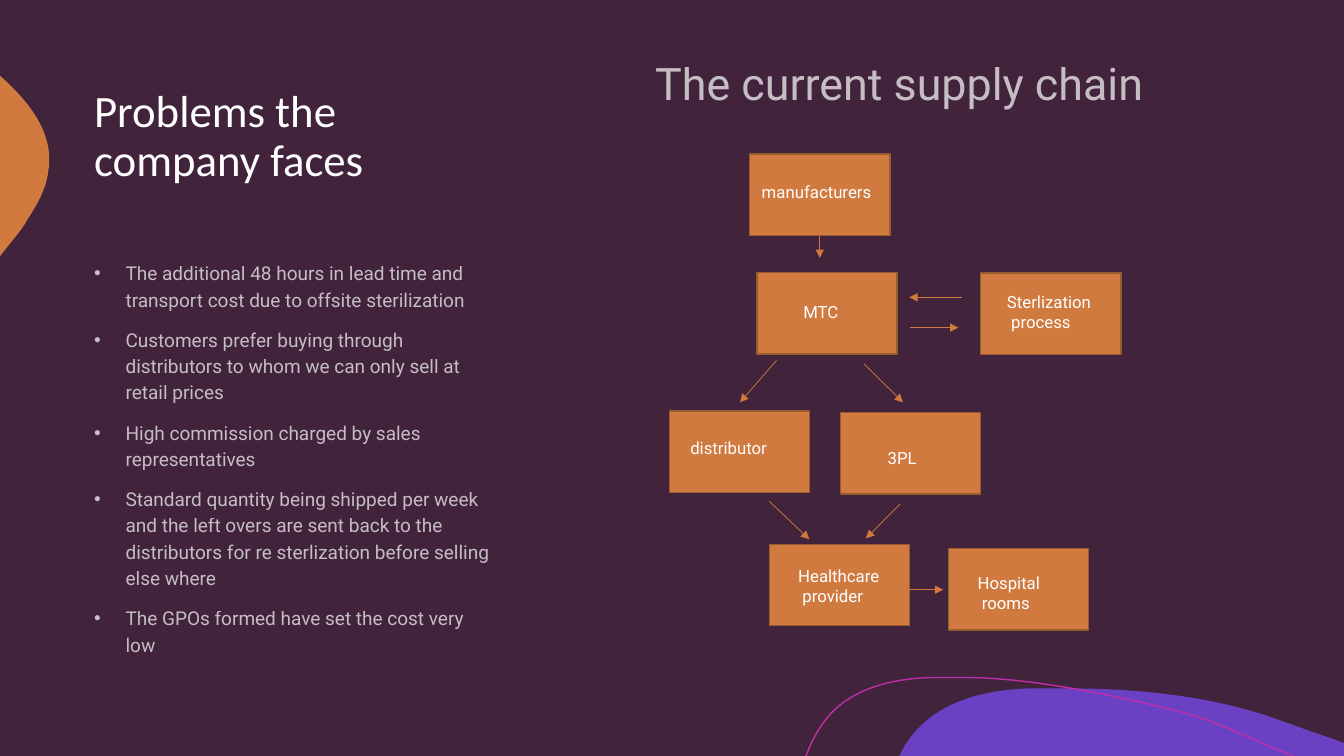
"""Build the supply chain slide on a grid of 32 by 18 square cells."""
from pptx import Presentation
from pptx.dml.color import RGBColor
from pptx.enum.shapes import MSO_CONNECTOR, MSO_SHAPE
from pptx.enum.text import MSO_ANCHOR, MSO_AUTO_SIZE, PP_ALIGN
from pptx.oxml.ns import qn
from pptx.util import Emu, Pt
from lxml import etree

STRAIGHT = MSO_CONNECTOR.STRAIGHT
RECT = MSO_SHAPE.RECTANGLE
TOP = MSO_ANCHOR.TOP
FIXED = MSO_AUTO_SIZE.NONE
GROW = MSO_AUTO_SIZE.SHAPE_TO_FIT_TEXT
LEFT = PP_ALIGN.LEFT

PLUM = RGBColor(0x41, 0x24, 0x3C)
ORANGE = RGBColor(0xD0, 0x7A, 0x40)
BROWN = RGBColor(0x9A, 0x5A, 0x2F)
PURPLE = RGBColor(0x6B, 0x41, 0xC4)
PINK = RGBColor(0xBE, 0x2E, 0xA8)
WHITE = RGBColor(0xFF, 0xFF, 0xFF)

CELL = 381000
COLS, ROWS = 32, 18
BOX_W, BOX_H = 3.34, 1.94

TITLE_FONT = {"name": "Calibri", "size": Pt(32), "bold": False}
HEADING_FONT = {"name": "Roboto", "size": Pt(32)}
LIST_FONT = {"name": "Roboto", "size": Pt(13.6)}
LABEL_FONT = {"name": "Roboto", "size": Pt(12)}
TITLE_PARA = {"alignment": LEFT, "line_spacing": 0.9, "space_before": Pt(0)}
HEADING_PARA = {"alignment": LEFT, "line_spacing": 1.25, "space_before": Pt(10)}
LIST_PARA = {"alignment": LEFT, "line_spacing": 1.15, "space_before": Pt(10)}

PROBLEMS = [
    "The additional 48 hours in lead time and transport cost due to offsite sterilization",
    "Customers prefer buying through distributors to whom we can only sell at retail prices",
    "High commission charged by sales representatives",
    "Standard quantity being shipped per week and the left overs are sent back to the "
    "distributors for re sterlization before selling else where",
    "The GPOs formed have set the cost very low",
]

STAGES = [
    ((17.85, 3.67), (17.9, 4.2, 3.1), ["manufacturers"]),
    ((18.02, 6.49), (18.89, 7.07, 2.9), ["MTC"]),
    ((23.35, 6.5), (23.74, 6.83, 2.81), ["Sterlization", " process"]),
    ((15.94, 9.79), (16.2, 10.31, 2.98), ["distributor"]),
    ((18.32, 12.96), (18.77, 13.35, 2.98), ["Healthcare", " provider"]),
    ((20.01, 9.82), (20.9, 10.54, 2.98), ["3PL"]),
    ((22.58, 13.06), (23.04, 13.51, 2.52), ["Hospital", " rooms"]),
]

ARROWS = [
    (21.67, 7.8, 22.82, 7.8),
    (18.49, 8.58, 17.62, 9.58),
    (20.57, 8.66, 21.5, 9.58),
    (22.9, 7.08, 21.65, 7.08),
    (20.57, 14.04, 22.46, 14.04),
    (18.31, 11.93, 19.27, 12.84),
    (21.43, 12, 20.62, 12.82),
]

PURPLE_WAVE = [
    [(25.3, 16.39)],
    [(27.07, 16.39), (28.9, 16.56), (30.55, 17.18)],
    [(30.86, 17.28), (31.15, 17.4), (31.46, 17.5)],
    [(32, 17.69)], [(32, 18)], [(21.41, 18)], [(21.55, 17.74)],
    [(21.65, 17.59), (21.74, 17.47), (21.86, 17.35)],
    [(22.54, 16.63), (23.57, 16.42), (24.55, 16.39)],
    [(24.79, 16.39), (25.03, 16.39), (25.3, 16.39)],
]
ORANGE_BULGE = [
    [(0, 1.8)], [(0.02, 1.82)],
    [(0.72, 2.45), (1.3, 3.19), (1.15, 4.08)],
    [(1.1, 4.49), (0.89, 4.87), (0.65, 5.23)],
    [(0.58, 5.38), (0.41, 5.59), (0.19, 5.86)],
    [(0, 6.1)],
]
PINK_LINE = [
    [(19.18, 18)], [(19.2, 17.98)],
    [(19.34, 17.59), (19.54, 17.26), (19.78, 16.99)],
    [(20.4, 16.34), (21.34, 16.15), (22.22, 16.13)],
    [(22.92, 16.13)],
    [(24.53, 16.13), (26.4, 16.54), (27.72, 16.85)],
    [(29.02, 17.16), (29.42, 17.45), (30.79, 18)],
]


def cells(*values):
    """Turn grid cells into slide lengths."""
    return [Emu(round(v * CELL)) for v in values]


def apply(target, formats):
    """Set every attribute in a dict of format values."""
    for name, value in formats.items():
        setattr(target, name, value)


def bend(sp, steps):
    """Turn each step of three points into one Bezier curve."""
    nodes = iter(sp._element.findall(".//" + qn("a:lnTo")))
    for step in steps[1:]:
        group = [next(nodes) for _ in step]
        if len(group) == 3:
            curve = etree.Element(qn("a:cubicBezTo"))
            group[0].addprevious(curve)
            for node in group:
                curve.append(node[0])
                node.getparent().remove(node)


def add_outline(s, steps, fill=None, line=None):
    """Draw a filled closed outline or an open curved line."""
    start, *rest = [cells(*point) for step in steps for point in step]
    builder = s.shapes.build_freeform(*start)
    builder.add_line_segments(rest, close=fill is not None)
    sp = builder.convert_to_shape()
    bend(sp, steps)
    sp.shadow.inherit = False
    if fill is not None:
        sp.fill.solid()
        sp.fill.fore_color.rgb = fill
        sp.line.fill.background()
    else:
        sp.fill.background()
        sp.line.color.rgb = line
        sp.line.width = Pt(1)


def write(tf, lines, font, para, opacity=100):
    """Write one formatted paragraph for each line."""
    for i, line in enumerate(lines):
        p = tf.paragraphs[0] if i == 0 else tf.add_paragraph()
        apply(p, para)
        r = p.add_run()
        r.text = line
        apply(r.font, font)
        r.font.color.rgb = WHITE
        if opacity < 100:
            color = r._r.find(".//" + qn("a:srgbClr"))
            etree.SubElement(color, qn("a:alpha"), val=str(opacity * 1000))


def fill_placeholder(sp, at, lines, font, para, opacity=100):
    """Move a placeholder and fill it with text from its top."""
    sp.left, sp.top, sp.width, sp.height = cells(*at)
    tf = sp.text_frame
    apply(tf, {"word_wrap": True, "auto_size": FIXED, "vertical_anchor": TOP})
    write(tf, lines, font, para, opacity)


def set_bullets(tf, char=None, hang=0):
    """Give paragraphs a hanging bullet, or none."""
    for p in tf.paragraphs:
        pPr = p._p.get_or_add_pPr()
        pPr.set("marL", str(cells(hang)[0]))
        pPr.set("indent", str(cells(-hang)[0]))
        if char:
            etree.SubElement(pPr, qn("a:buChar"), char=char)
        else:
            etree.SubElement(pPr, qn("a:buNone"))


def add_box(s, corner):
    """Add one stage rectangle."""
    sp = s.shapes.add_shape(RECT, *cells(*corner, BOX_W, BOX_H))
    sp.shadow.inherit = False
    sp.fill.solid()
    sp.fill.fore_color.rgb = ORANGE
    sp.line.color.rgb = BROWN
    sp.line.width = Pt(1)
    return sp


def add_label(s, at, lines):
    """Add the name of a stage."""
    tf = s.shapes.add_textbox(*cells(*at, 0.24 + 0.48 * len(lines))).text_frame
    apply(tf, {"word_wrap": True, "auto_size": GROW})
    write(tf, lines, LABEL_FONT, {"alignment": LEFT})


def add_arrow(s, ends):
    """Add a thin arrow between two grid points."""
    arrow = s.shapes.add_connector(STRAIGHT, *cells(*ends))
    arrow.line.color.rgb = ORANGE
    arrow.line.width = Pt(0.5)
    etree.SubElement(arrow.line._get_or_add_ln(), qn("a:tailEnd"), type="triangle")
    etree.SubElement(arrow._element.spPr, qn("a:effectLst"))
    return arrow


def main():
    """Build and save the slide."""
    prs = Presentation()
    prs.slide_width, prs.slide_height = cells(COLS, ROWS)
    s = prs.slides.add_slide(prs.slide_layouts[3])
    s.background.fill.solid()
    s.background.fill.fore_color.rgb = PLUM
    title, problems, heading = s.placeholders
    add_outline(s, PURPLE_WAVE, fill=PURPLE)
    add_outline(s, ORANGE_BULGE, fill=ORANGE)
    add_outline(s, PINK_LINE, line=PINK)
    for sp in (title, heading, problems):
        s.shapes._spTree.append(sp._element)

    fill_placeholder(title, (2, 2, 10, 4), ["Problems the company faces"], TITLE_FONT, TITLE_PARA)
    fill_placeholder(heading, (15.36, 0.89, 16, 14), ["The current supply chain"],
                     HEADING_FONT, HEADING_PARA, 70)
    set_bullets(heading.text_frame)
    fill_placeholder(problems, (2, 6.03, 10, 10), PROBLEMS, LIST_FONT, LIST_PARA, 70)
    set_bullets(problems.text_frame, "•", 0.75)

    boxes = [add_box(s, corner) for corner, _, _ in STAGES]
    for _, at, lines in STAGES:
        add_label(s, at, lines)
    add_arrow(s, (19.52, 5.61, 19.52, 6.14)).begin_connect(boxes[0], 2)
    for ends in ARROWS:
        add_arrow(s, ends)
    prs.save("out.pptx")


if __name__ == "__main__":
    main()
